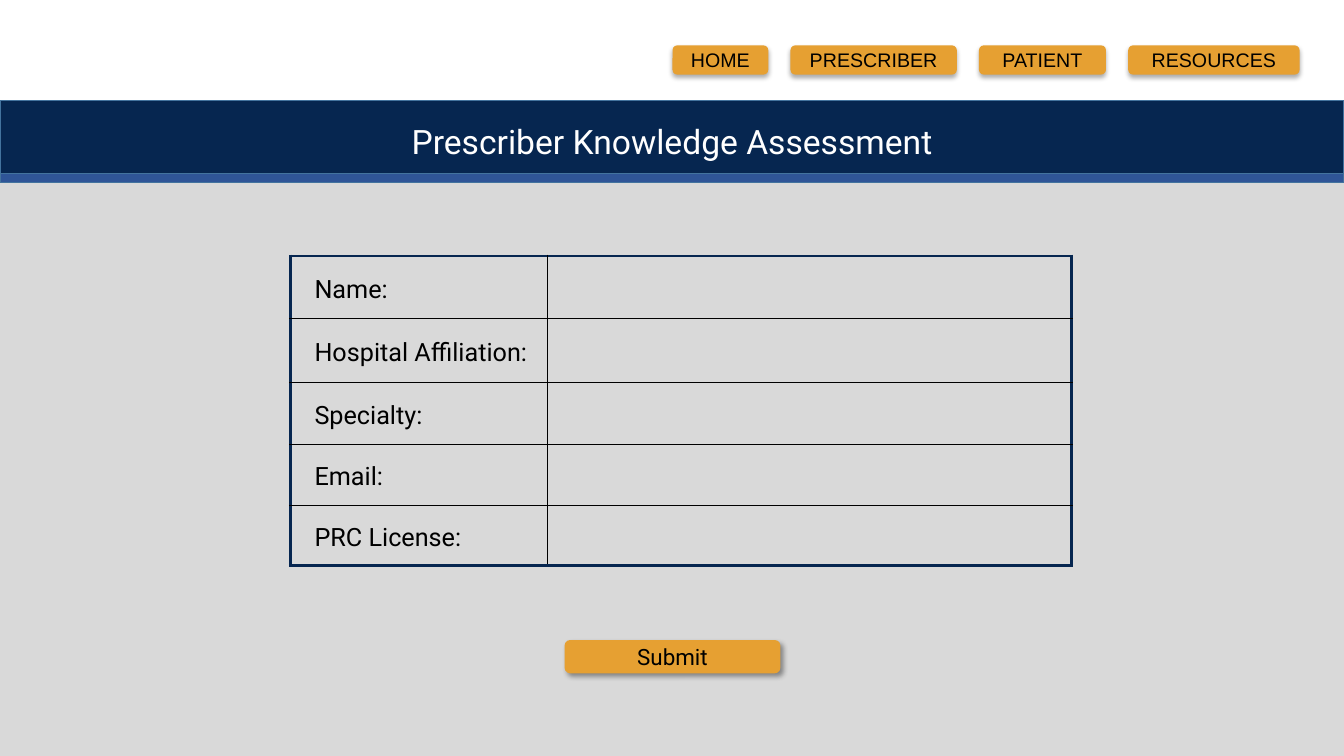
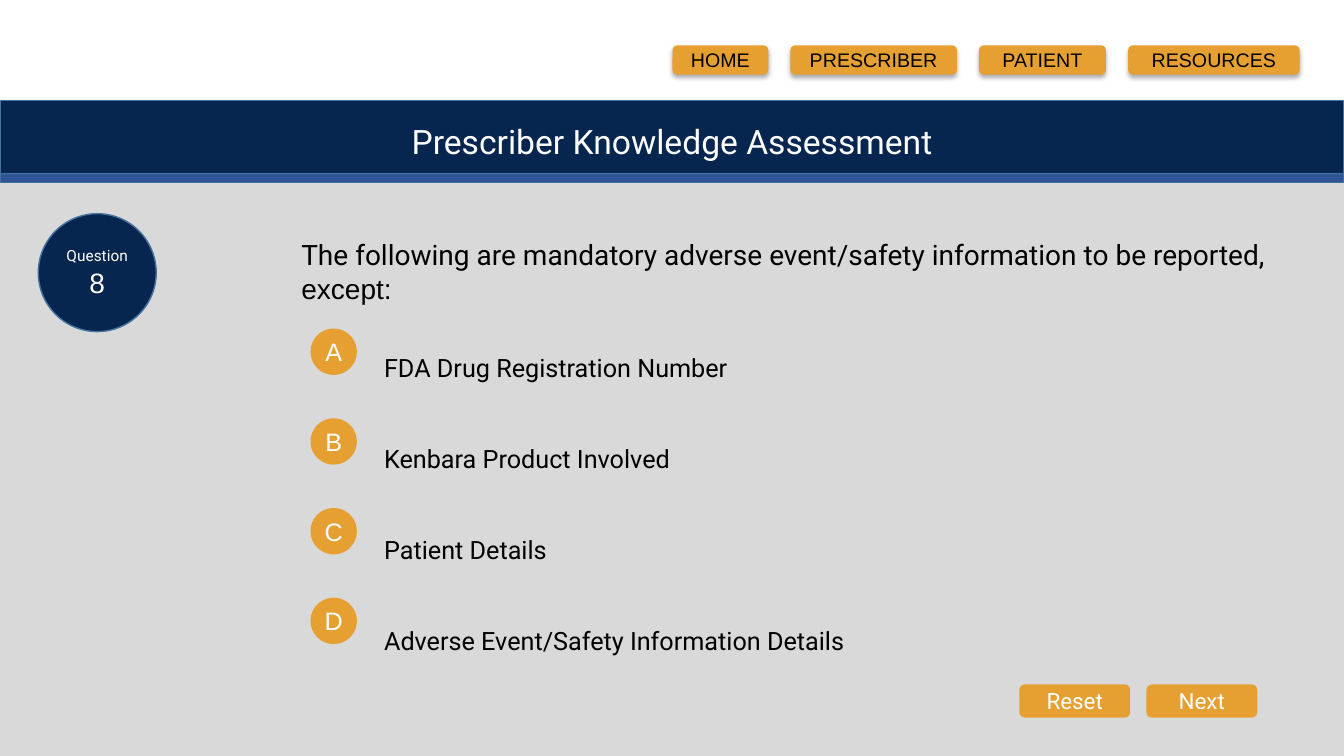
from dataclasses import dataclass
from typing import Optional

from lxml.etree import SubElement
from pptx import Presentation
from pptx.dml.color import RGBColor
from pptx.enum.shapes import MSO_SHAPE
from pptx.enum.text import MSO_ANCHOR, MSO_AUTO_SIZE, PP_ALIGN
from pptx.oxml.ns import qn
from pptx.util import Inches, Pt


# Theme
@dataclass(frozen=True)
class TextStyle:
    size: float
    font: str
    color: str


@dataclass(frozen=True)
class Shadow:
    opacity: int
    blur: float
    distance: float
    angle: int


@dataclass(frozen=True)
class Theme:
    navy: str = "062650"
    edge: str = "43739E"
    blue: str = "2F5597"
    amber: str = "E6A032"
    gray: str = "D9D9D9"
    white: str = "FFFFFF"
    black: str = "000000"
    title: TextStyle = TextStyle(24, "Roboto", white)
    question: TextStyle = TextStyle(20, "Roboto", black)
    body: TextStyle = TextStyle(18, "Roboto", black)
    navigation: TextStyle = TextStyle(14, "Arial", black)
    submit: TextStyle = TextStyle(16, "Roboto", black)
    action: TextStyle = TextStyle(16, "Roboto", white)
    letter: TextStyle = TextStyle(18, "Arial", white)
    counter_label: TextStyle = TextStyle(11, "Roboto", white)
    counter_number: TextStyle = TextStyle(20, "Arial", white)
    navigation_shadow: Shadow = Shadow(32, 3.5, 2.2, 90)
    submit_shadow: Shadow = Shadow(40, 4, 3, 45)


THEME = Theme()
PAGE_WIDTH = 13.33


@dataclass(frozen=True)
class Area:
    left: float
    top: float
    width: float
    height: float

    def lengths(self) -> tuple:
        return tuple(Inches(n) for n in (self.left, self.top, self.width, self.height))


@dataclass(frozen=True)
class Line:
    text: str
    style: TextStyle


@dataclass(frozen=True)
class NavigationItem:
    label: str
    width: float


NAVIGATION = (
    NavigationItem("HOME", 0.95),
    NavigationItem("PRESCRIBER", 1.65),
    NavigationItem("PATIENT", 1.26),
    NavigationItem("RESOURCES", 1.7),
)


# Text and shape helpers
def apply_style(paragraph, style: TextStyle) -> None:
    paragraph.font.size = Pt(style.size)
    paragraph.font.name = style.font
    paragraph.font.color.rgb = RGBColor.from_string(style.color)


def write_lines(frame, lines, align=PP_ALIGN.LEFT, spacing: Optional[float] = None) -> None:
    for index, line in enumerate(lines):
        paragraph = frame.add_paragraph() if index else frame.paragraphs[0]
        paragraph.text = line.text
        paragraph.alignment = align
        if spacing:
            paragraph.line_spacing = spacing
        apply_style(paragraph, line.style)


def add_shadow(shape, shadow: Shadow) -> None:
    effects = shape.element.spPr.find(qn("a:effectLst"))
    outer = SubElement(effects, qn("a:outerShdw"), blurRad=str(Pt(shadow.blur)),
                       dist=str(Pt(shadow.distance)), dir=str(shadow.angle * 60000),
                       algn="t" if shadow.angle == 90 else "tl", rotWithShape="0")
    color = SubElement(outer, qn("a:srgbClr"), val=THEME.black)
    SubElement(color, qn("a:alpha"), val=str(shadow.opacity * 1000))


def add_box(page, kind, area: Area, fill: str, edge: Optional[str] = None,
            lines=(), shadow: Optional[Shadow] = None):
    box = page.shapes.add_shape(kind, *area.lengths())
    box.shadow.inherit = False
    box.fill.solid()
    box.fill.fore_color.rgb = RGBColor.from_string(fill)
    if edge:
        box.line.color.rgb = RGBColor.from_string(edge)
        box.line.width = Pt(1)
    else:
        box.line.fill.background()
    if shadow:
        add_shadow(box, shadow)
    if lines:
        frame = box.text_frame
        frame.margin_left = frame.margin_right = frame.margin_top = frame.margin_bottom = 0
        frame.vertical_anchor = MSO_ANCHOR.MIDDLE
        write_lines(frame, lines, PP_ALIGN.CENTER)
    return box


def add_button(page, area: Area, label: str, style: TextStyle,
               shadow: Optional[Shadow] = None) -> None:
    add_box(page, MSO_SHAPE.ROUNDED_RECTANGLE, area, THEME.amber,
            lines=[Line(label, style)], shadow=shadow)


def add_text(page, area: Area):
    frame = page.shapes.add_textbox(*area.lengths()).text_frame
    frame.word_wrap = True
    return frame


# Shared page: header, title band and navigation
def add_page(deck, title_text: str):
    page = deck.slides.add_slide(deck.slide_layouts[5])
    rectangle = MSO_SHAPE.RECTANGLE
    add_box(page, rectangle, Area(0, 1, PAGE_WIDTH, 0.72), THEME.navy, THEME.edge)
    add_box(page, rectangle, Area(0, 0, PAGE_WIDTH, 0.99), THEME.white)
    add_box(page, rectangle, Area(0, 1.72, PAGE_WIDTH, 0.09), THEME.blue, THEME.edge)

    title = page.shapes.title
    title.left, title.top, title.width, title.height = Area(0, 1.15, PAGE_WIDTH, 0.5).lengths()
    title.text_frame.auto_size = MSO_AUTO_SIZE.NONE
    title.text_frame.vertical_anchor = MSO_ANCHOR.MIDDLE
    write_lines(title.text_frame, [Line(title_text, THEME.title)], PP_ALIGN.CENTER)
    page.shapes.element.append(title.element)  # bring the title in front of its band

    left, gap = 6.67, 0.22
    for item in NAVIGATION:
        add_button(page, Area(left, 0.45, item.width, 0.29), item.label,
                   THEME.navigation, THEME.navigation_shadow)
        left += item.width + gap
    return page


# Registration form
def set_border(cell, side: str, color: str, width: float) -> None:
    border = SubElement(cell._tc.get_or_add_tcPr(), qn(f"a:ln{side}"), w=str(Pt(width)))
    fill = SubElement(border, qn("a:solidFill"))
    SubElement(fill, qn("a:srgbClr"), val=color)


def add_form(page, labels, area: Area, widths, heights) -> None:
    table = page.shapes.add_table(len(labels), len(widths), *area.lengths()).table
    table.first_row = table.horz_banding = False
    for column, width in zip(table.columns, widths):
        column.width = Inches(width)
    for row, height in zip(table.rows, heights):
        row.height = Inches(height)

    last_row, last_column = len(labels) - 1, len(widths) - 1
    for row, label in enumerate(labels):
        for column in range(len(widths)):
            cell = table.cell(row, column)
            outer_sides = {"L": column == 0, "R": column == last_column,
                           "T": row == 0, "B": row == last_row}
            for side, is_outer in outer_sides.items():
                color, width = (THEME.navy, 2.25) if is_outer else (THEME.black, 0.5)
                set_border(cell, side, color, width)
            cell.fill.background()
        label_cell = table.cell(row, 0)
        label_cell.vertical_anchor = MSO_ANCHOR.MIDDLE
        label_cell.margin_left = Inches(0.24)
        label_cell.margin_right = Inches(0.05)
        label_cell.margin_top = Inches(0.1)
        write_lines(label_cell.text_frame, [Line(label, THEME.body)])


def build_registration(deck, title: str) -> None:
    page = add_page(deck, title)
    labels = ("Name:", "Hospital Affiliation:", "Specialty:", "Email:", "PRC License:")
    add_form(page, labels, Area(2.88, 2.54, 7.75, 3.07),
             widths=(2.55, 5.2), heights=(0.62, 0.63, 0.62, 0.6, 0.6))
    add_button(page, Area(5.6, 6.35, 2.14, 0.33), "Submit", THEME.submit, THEME.submit_shadow)


# Multiple-choice question
def build_question(deck, title: str) -> None:
    page = add_page(deck, title)
    add_box(page, MSO_SHAPE.OVAL, Area(0.38, 2.12, 1.17, 1.17), THEME.navy, THEME.edge,
            [Line("Question", THEME.counter_label), Line("8", THEME.counter_number)])

    paragraph = add_text(page, Area(2.89, 2.31, 9.86, 0.77)).paragraphs[0]
    apply_style(paragraph, THEME.question)
    paragraph.add_run().text = (
        "The following are mandatory adverse event/safety information to be reported, ")
    span = paragraph.add_run()
    span.text = "except:"
    span.font.name = "Arial"

    answers = ("FDA Drug Registration Number", "Kenbara Product Involved",
               "Patient Details", "Adverse Event/Safety Information Details")
    frame = add_text(page, Area(3.21, 2.85, 8.3, 3.58))
    frame.margin_left = Inches(0.6)
    write_lines(frame, [Line(answer, THEME.body) for answer in answers], spacing=3)
    for index, letter in enumerate("ABCD"):
        add_box(page, MSO_SHAPE.OVAL, Area(3.08, 3.26 + 0.89 * index, 0.46, 0.46),
                THEME.amber, lines=[Line(letter, THEME.letter)])

    for index, label in enumerate(("Reset", "Next")):
        add_button(page, Area(10.11 + 1.26 * index, 6.79, 1.1, 0.33), label, THEME.action)


def main() -> None:
    deck = Presentation()
    deck.slide_width, deck.slide_height = Inches(PAGE_WIDTH), Inches(7.5)
    background = deck.slide_master.background.fill
    background.solid()
    background.fore_color.rgb = RGBColor.from_string(THEME.gray)

    title = "Prescriber Knowledge Assessment"
    build_registration(deck, title)
    build_question(deck, title)
    deck.save("out.pptx")


if __name__ == "__main__":
    main()
